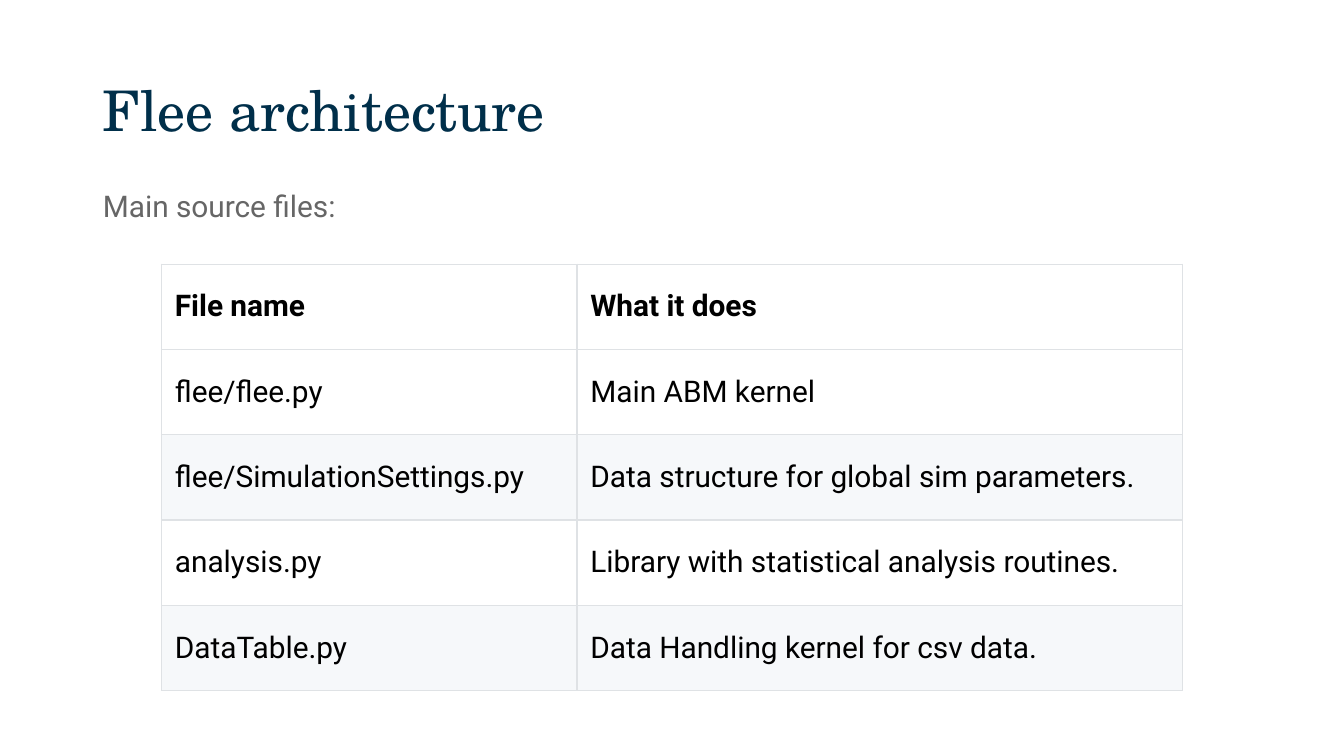
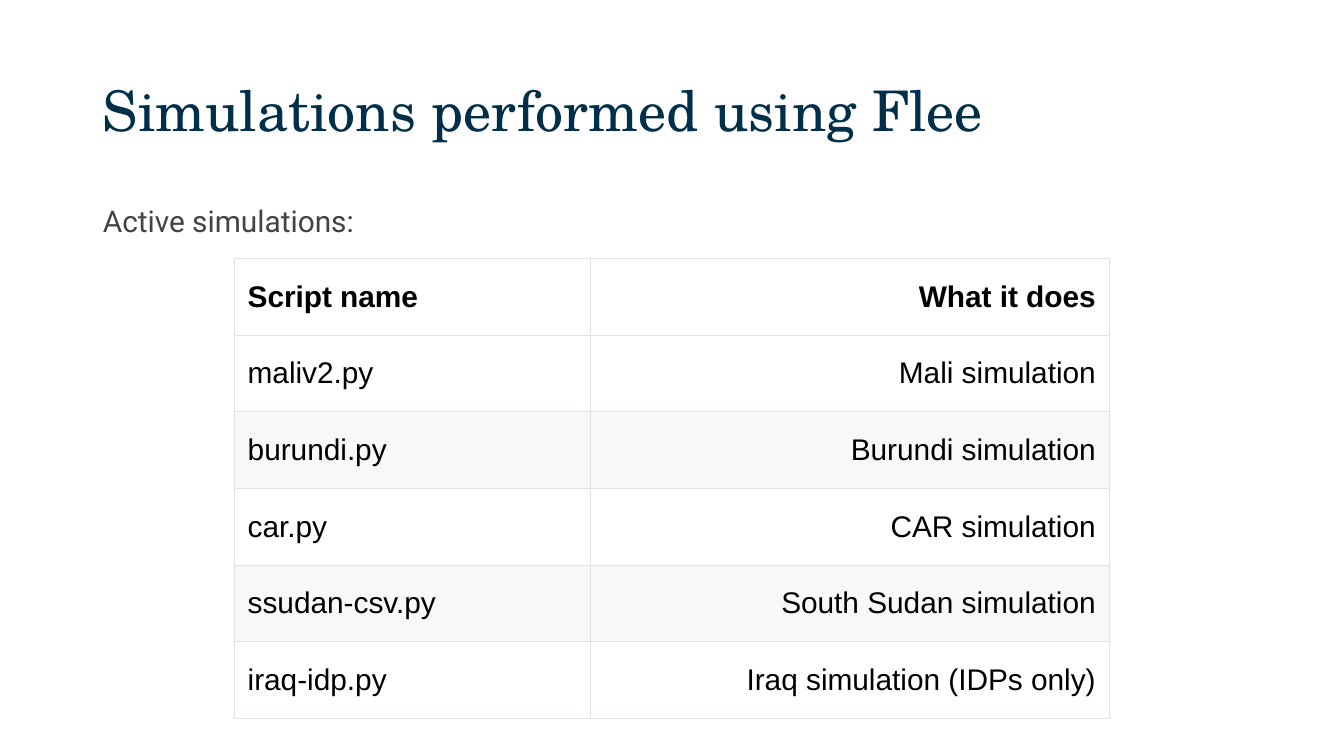
from lxml import etree
from pptx import Presentation
from pptx.dml.color import RGBColor
from pptx.enum.text import MSO_ANCHOR, PP_ALIGN
from pptx.oxml.ns import qn
from pptx.util import Pt

MIDDLE, TOP = MSO_ANCHOR.MIDDLE, MSO_ANCHOR.TOP
LEFT, RIGHT = PP_ALIGN.LEFT, PP_ALIGN.RIGHT

NAVY, BLACK, WHITE = "002F4A", "000000", "FFFFFF"
GREY, DARK_GREY = "666666", "434343"
BAND, BORDER = "F6F8FA", "DFE2E5"
TITLE_FONT, BODY_FONT, PLAIN_FONT = "TeX Gyre Schola", "Roboto", "Arial"
MARGIN, CONTENT_WIDTH = 49.7, 620.6
BODY_SIZE = 16

SOURCE_FILES = [
    ("File name", "What it does"),
    ("flee/flee.py", "Main ABM kernel"),
    ("flee/SimulationSettings.py", "Data structure for global sim parameters."),
    ("analysis.py", "Library with statistical analysis routines."),
    ("DataTable.py", "Data Handling kernel for csv data."),
]
SIMULATIONS = [
    ("Script name", "What it does"),
    ("maliv2.py", "Mali simulation"),
    ("burundi.py", "Burundi simulation"),
    ("car.py", "CAR simulation"),
    ("ssudan-csv.py", "South Sudan simulation"),
    ("iraq-idp.py", "Iraq simulation (IDPs only)"),
]


def color(hex_string):
    return RGBColor.from_string(hex_string)


def style_font(paragraph, name, size, hex_string, bold=False):
    for run in paragraph.runs:
        run.font.name = name
        run.font.size = Pt(size)
        run.font.bold = bold
        run.font.color.rgb = color(hex_string)


def add_text(slide, text, top, height, anchor, font, size, hex_string):
    shape = slide.shapes.add_textbox(Pt(MARGIN), Pt(top), Pt(CONTENT_WIDTH), Pt(height))
    frame = shape.text_frame
    frame.word_wrap = True
    frame.vertical_anchor = anchor
    frame.margin_left = frame.margin_right = Pt(5.4)
    frame.margin_top = frame.margin_bottom = Pt(2.7)
    frame.text = text
    paragraph = frame.paragraphs[0]
    paragraph.line_spacing = 0.9
    style_font(paragraph, font, size, hex_string)


def add_title(slide, text):
    add_text(slide, text, 21.6, 78.5, MIDDLE, TITLE_FONT, 30, NAVY)


def add_lead(slide, text, top, hex_string):
    """Add the line that introduces the table."""
    add_text(slide, text, top, 257, TOP, BODY_FONT, BODY_SIZE, hex_string)


def add_borders(cell):
    properties = cell._tc.get_or_add_tcPr()
    for side in ("a:lnL", "a:lnR", "a:lnT", "a:lnB"):
        line = etree.SubElement(properties, qn(side), w=str(Pt(0.75)))
        fill = etree.SubElement(line, qn("a:solidFill"))
        etree.SubElement(fill, qn("a:srgbClr"), val=BORDER)


def add_table(slide, rows, left, top, widths, row_height, font, alignments):
    """Add a table with a bold header and every second body row tinted."""
    frame = slide.shapes.add_table(len(rows), len(widths), Pt(left), Pt(top),
                                   Pt(sum(widths)), Pt(row_height * len(rows)))
    table = frame.table
    table.horz_banding = False
    for column, width in zip(table.columns, widths):
        column.width = Pt(width)
    for row_index, values in enumerate(rows):
        table.rows[row_index].height = Pt(row_height)
        tinted = row_index > 0 and row_index % 2 == 0
        for column_index, value in enumerate(values):
            cell = table.cell(row_index, column_index)
            cell.text = value
            cell.vertical_anchor = MIDDLE
            add_borders(cell)
            cell.fill.solid()
            cell.fill.fore_color.rgb = color(BAND if tinted else WHITE)
            paragraph = cell.text_frame.paragraphs[0]
            paragraph.alignment = alignments[column_index]
            style_font(paragraph, font, BODY_SIZE, BLACK, bold=row_index == 0)


def main():
    presentation = Presentation()
    presentation.slide_width, presentation.slide_height = Pt(720), Pt(405)
    blank = presentation.slide_layouts[6]

    slide = presentation.slides.add_slide(blank)
    add_title(slide, "Flee architecture")
    add_lead(slide, "Main source files:", 100.1, GREY)
    add_table(slide, SOURCE_FILES, 86.5, 141.5, (222.6, 324.5), 45.7,
              BODY_FONT, (LEFT, LEFT))

    slide = presentation.slides.add_slide(blank)
    add_title(slide, "Simulations performed using Flee")
    add_lead(slide, "Active simulations:", 108, DARK_GREY)
    add_table(slide, SIMULATIONS, 125.5, 138.5, (190.8, 278), 41.1,
              PLAIN_FONT, (LEFT, RIGHT))

    presentation.save("out.pptx")


if __name__ == "__main__":
    main()
